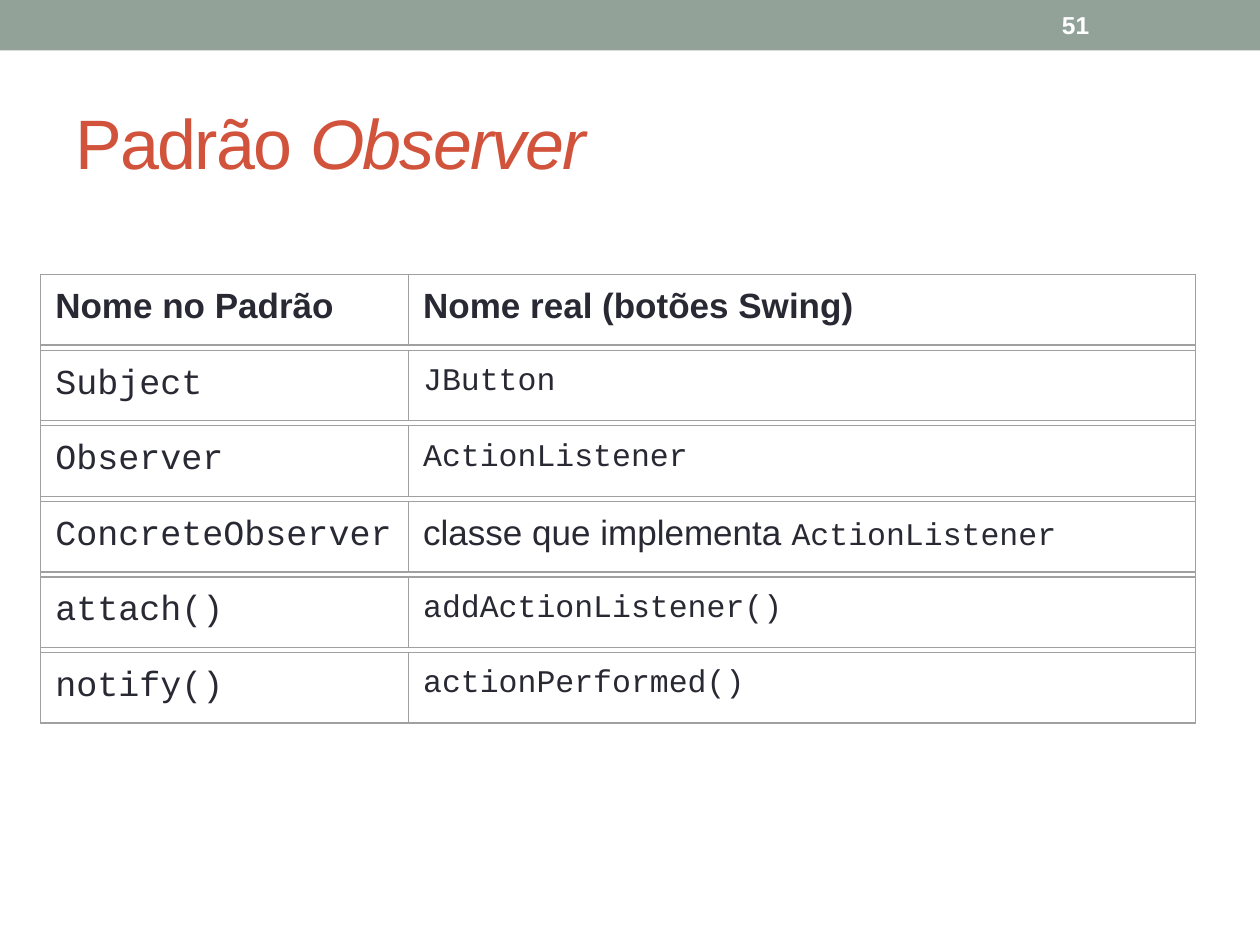
from pptx import Presentation
from pptx.dml.color import RGBColor
from pptx.enum import shapes, text
from pptx.util import Pt

# Content: each run is (text, format)
COLORS = {"bar": "93A299", "title": "D2533C", "ink": "292934",
          "border": "A0A0A0", "white": "FFFFFF"}
SANS, MONO = "Arial", "Courier New"
HEAD = dict(size=20, bold=True)
PROSE = dict(size=20)
ROLE = dict(size=20, font=MONO)
CODE = dict(size=18, font=MONO)

TITLE = [("Padrão ", {}), ("Observer", dict(italic=True))]
PAGE_NUMBER = "51"
ROWS = [
    ([("Nome no Padrão", HEAD)], [("Nome real (botões Swing)", HEAD)]),
    ([("Subject", ROLE)], [("JButton", CODE)]),
    ([("Observer", ROLE)], [("ActionListener", CODE)]),
    ([("ConcreteObserver", ROLE)],
     [("classe que implementa ", PROSE), ("ActionListener", CODE)]),
    ([("attach()", ROLE)], [("addActionListener()", CODE)]),
    ([("notify()", ROLE)], [("actionPerformed()", CODE)]),
]

# Measures in points
WIDTH, HEIGHT = 720, 540
LEFT, TOP = 23.04, 156.96
COLUMNS = (210.24, 450)
ROW_HEIGHT, ROW_PITCH = 40.32, 43.2
INSET = 1.44
SPACE_BEFORE = {SANS: 2, MONO: 4}


def color(name):
    return RGBColor.from_string(COLORS[name])


def write(frame, runs, anchor=text.MSO_ANCHOR.TOP, before=0, spacing=None, **common):
    """Fill a text frame with one left-aligned paragraph of formatted runs."""
    frame.word_wrap = True
    frame.vertical_anchor = anchor
    paragraph = frame.paragraphs[0]
    paragraph.alignment = text.PP_ALIGN.LEFT
    paragraph.space_before = Pt(before)
    for words, own in runs:
        style = {**common, **own}
        run = paragraph.add_run()
        run.text = words
        run.font.name = style.get("font", SANS)
        run.font.size = Pt(style["size"])
        run.font.bold = style.get("bold", False)
        run.font.italic = style.get("italic", False)
        run.font.color.rgb = color(style.get("ink", "ink"))
        if spacing is not None:
            run.font._element.set("spc", str(spacing))


def box(parent, left, top, width, height, fill=None, line=None):
    shape = parent.add_shape(shapes.MSO_SHAPE.RECTANGLE,
                             Pt(left), Pt(top), Pt(width), Pt(height))
    shape.shadow.inherit = False
    if fill:
        shape.fill.solid()
        shape.fill.fore_color.rgb = color(fill)
    else:
        shape.fill.background()
    if line is None:
        shape.line.fill.background()
    else:
        shape.line.color.rgb = color("border")
        shape.line.width = Pt(line)


deck = Presentation()
deck.slide_width, deck.slide_height = Pt(WIDTH), Pt(HEIGHT)
slide = deck.slides.add_slide(deck.slide_layouts[5])

# Top bar and title
box(slide.shapes, 0, 0, WIDTH, 28.8, fill="bar")
title = slide.shapes.title
title.left, title.top, title.width, title.height = Pt(36), Pt(41.76), Pt(648), Pt(77.76)
write(title.text_frame, TITLE, anchor=text.MSO_ANCHOR.MIDDLE, spacing=-100,
      size=40, ink="title")

# Grid of names: a text and a frame for every cell, then the outer frame
grid = slide.shapes.add_group_shape().shapes
for row, cells in enumerate(ROWS):
    top = TOP + row * ROW_PITCH
    for column, runs in enumerate(cells):
        left, width = LEFT + sum(COLUMNS[:column]), COLUMNS[column]
        cell = grid.add_textbox(Pt(left + INSET), Pt(top + INSET),
                                Pt(width - 2 * INSET), Pt(ROW_HEIGHT - 2 * INSET))
        first_font = runs[0][1].get("font", SANS)
        write(cell.text_frame, runs, before=SPACE_BEFORE[first_font])
        box(grid, left, top, width, ROW_HEIGHT, line=0)
grid_height = (len(ROWS) - 1) * ROW_PITCH + ROW_HEIGHT
box(grid, LEFT, TOP, sum(COLUMNS), grid_height, line=0.75)

# Page number
number = slide.shapes.add_textbox(Pt(599.76), Pt(1.44), Pt(84.24), Pt(25.92))
write(number.text_frame, [(PAGE_NUMBER, {})], anchor=text.MSO_ANCHOR.MIDDLE,
      size=14, bold=True, ink="white")

deck.save("out.pptx")
